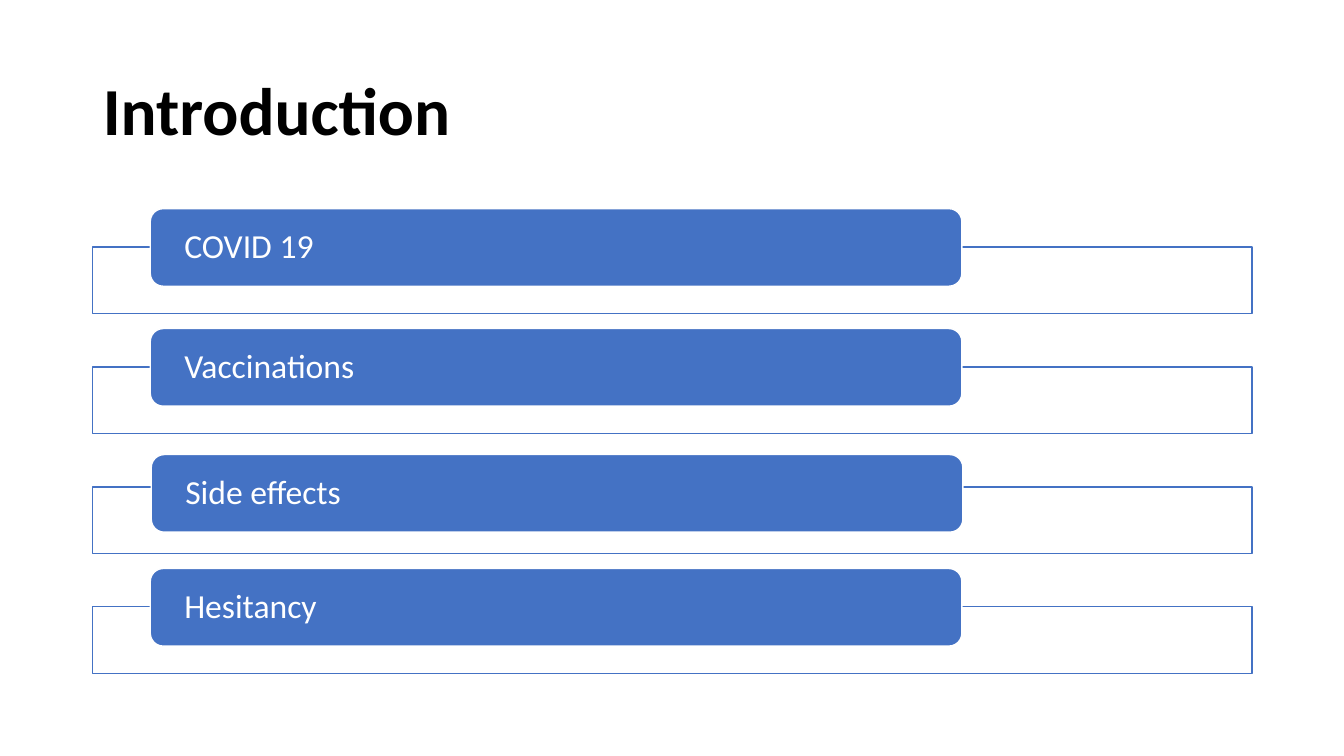
from pptx import Presentation
from pptx.dml.color import RGBColor
from pptx.enum.shapes import MSO_SHAPE as Shape
from pptx.enum.text import MSO_ANCHOR as Anchor, PP_ALIGN as Align
from pptx.util import Inches, Pt

COLORS = {"white": "FFFFFF", "black": "000000", "blue": "4472C4"}
TOPICS = [
    ("COVID 19", 1.49, 2.07),
    ("Vaccinations", 1.49, 3.26),
    ("Side effects", 1.5, 4.51),
    ("Hesitancy", 1.49, 5.64),
]
FRAME_TOP, FRAME_STEP = 2.45, 1.19


class SlideBuilder:
    font = "Calibri"

    def __init__(self, prs):
        self.s = prs.slides.add_slide(prs.slide_layouts[5])

    def color(self, name):
        return RGBColor.from_string(COLORS[name])

    def set_text(self, tf, text, size, color, bold=False):
        tf.text = text
        tf.word_wrap = True
        tf.vertical_anchor = Anchor.MIDDLE
        p = tf.paragraphs[0]
        p.alignment = Align.LEFT
        p.line_spacing = 0.9
        p.font.name = self.font
        p.font.size = Pt(size)
        p.font.bold = bold
        p.font.color.rgb = self.color(color)

    def title(self, text, left, top, width, height):
        sp = self.s.shapes.title
        sp.left, sp.top = Inches(left), Inches(top)
        sp.width, sp.height = Inches(width), Inches(height)
        self.set_text(sp.text_frame, text, 48, "black", bold=True)

    def box(self, kind, left, top, width, height, fill, line):
        sp = self.s.shapes.add_shape(
            kind, Inches(left), Inches(top), Inches(width), Inches(height))
        sp.shadow.inherit = False
        sp.fill.solid()
        sp.fill.fore_color.rgb = self.color(fill)
        sp.line.color.rgb = self.color(line)
        sp.line.width = Pt(1)
        return sp

    def frame(self, top):
        self.box(Shape.RECTANGLE, 0.92, top, 11.5, 0.66, "white", "blue")

    def topic(self, text, left, top):
        sp = self.box(Shape.ROUNDED_RECTANGLE, left, top, 8.05, 0.77, "blue", "white")
        tf = sp.text_frame
        tf.margin_left = tf.margin_right = Inches(0.3)
        tf.margin_top = tf.margin_bottom = 0
        self.set_text(tf, text, 24, "white")


def main():
    prs = Presentation()
    prs.slide_width, prs.slide_height = Inches(13.33), Inches(7.5)
    builder = SlideBuilder(prs)
    builder.title("Introduction", 0.92, 0.4, 11.5, 1.45)
    for i, (text, left, top) in enumerate(TOPICS):
        builder.frame(FRAME_TOP + i * FRAME_STEP)
        builder.topic(text, left, top)
    prs.save("out.pptx")


if __name__ == "__main__":
    main()
